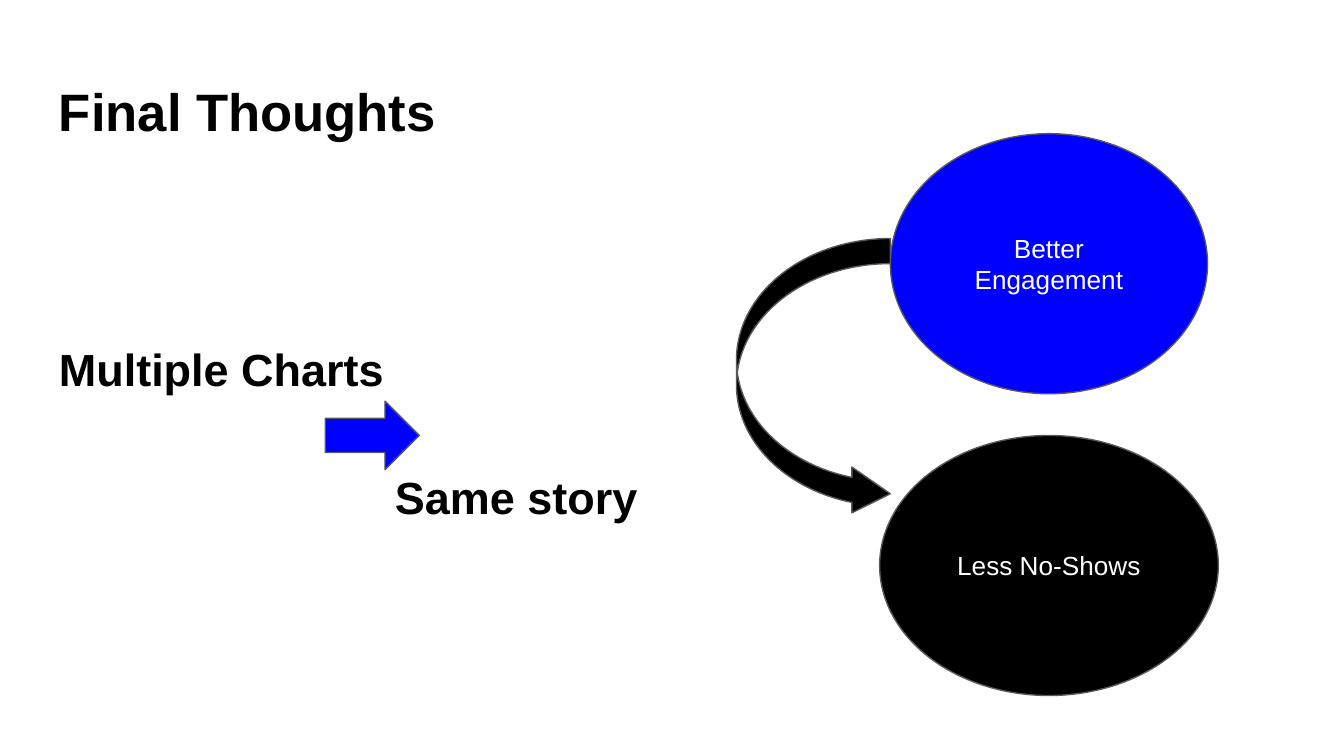
from pptx import Presentation
from pptx.dml.color import RGBColor
from pptx.enum.shapes import MSO_SHAPE
from pptx.enum.text import MSO_ANCHOR, PP_ALIGN
from pptx.util import Pt

OVAL = MSO_SHAPE.OVAL
CURVED_ARROW = MSO_SHAPE.CURVED_RIGHT_ARROW
RIGHT_ARROW = MSO_SHAPE.RIGHT_ARROW
TOP, MIDDLE = MSO_ANCHOR.TOP, MSO_ANCHOR.MIDDLE
LEFT, CENTER = PP_ALIGN.LEFT, PP_ALIGN.CENTER

PX = 4572
THEME = {
    "font": "Arial",
    "black": RGBColor(0, 0, 0),
    "blue": RGBColor(0, 0, 255),
    "white": RGBColor(255, 255, 255),
    "outline": RGBColor(89, 89, 89),
    "outline_width": Pt(0.75),
    "title": Pt(28.2),
    "body": Pt(24.1),
    "label": Pt(14),
}


def write(holder, lines, size, color, bold, align, anchor):
    frame = holder.text_frame
    frame_format = {"word_wrap": True, "vertical_anchor": anchor}
    for side in ("left", "right", "top", "bottom"):
        frame_format["margin_" + side] = 20 * PX
    for key, value in frame_format.items():
        setattr(frame, key, value)
    for index, line in enumerate(lines):
        paragraph = frame.paragraphs[0] if index == 0 else frame.add_paragraph()
        paragraph.alignment = align
        words = paragraph.add_run()
        words.text = line
        font_format = {"name": THEME["font"], "size": THEME[size], "bold": bold}
        for key, value in font_format.items():
            setattr(words.font, key, value)
        words.font.color.rgb = THEME[color]
    return frame.paragraphs


deck = Presentation()
deck.slide_width, deck.slide_height = 2000 * PX, 1125 * PX
slide = deck.slides.add_slide(deck.slide_layouts[6])

headline = slide.shapes.add_textbox(68 * PX, 98 * PX, 1864 * PX, 126 * PX)
write(headline, ["Final Thoughts"], "title", "black", True, LEFT, TOP)

message = slide.shapes.add_textbox(68 * PX, 507 * PX, 1020 * PX, 492 * PX)
charts, story = write(message, ["Multiple Charts", "Same story"],
                      "body", "black", True, LEFT, TOP)
charts.line_spacing = story.line_spacing = 0.75
story.space_before = Pt(46.7)
story_indent = story._p.get_or_add_pPr()
story_indent.set("marL", str(500 * PX))
story_indent.set("indent", "0")

diagram = [
    (OVAL, (1325, 199, 472, 387), "blue", [], ["Better", "Engagement"]),
    (OVAL, (1309, 648, 504, 387), "black", [], ["Less No-Shows"]),
    (CURVED_ARROW, (1096, 355, 229, 414), "black", [0.163, 0.298, 0.25], []),
    (RIGHT_ARROW, (484, 597, 140, 102), "blue", [0.5, 0.5], []),
]
for kind, box, fill, bends, label in diagram:
    part = slide.shapes.add_shape(kind, *[length * PX for length in box])
    part.shadow.inherit = False
    part.fill.solid()
    part.fill.fore_color.rgb = THEME[fill]
    part.line.color.rgb = THEME["outline"]
    part.line.width = THEME["outline_width"]
    for index, bend in enumerate(bends):
        part.adjustments[index] = bend
    write(part, label, "label", "white", False, CENTER, MIDDLE)

deck.save("out.pptx")
